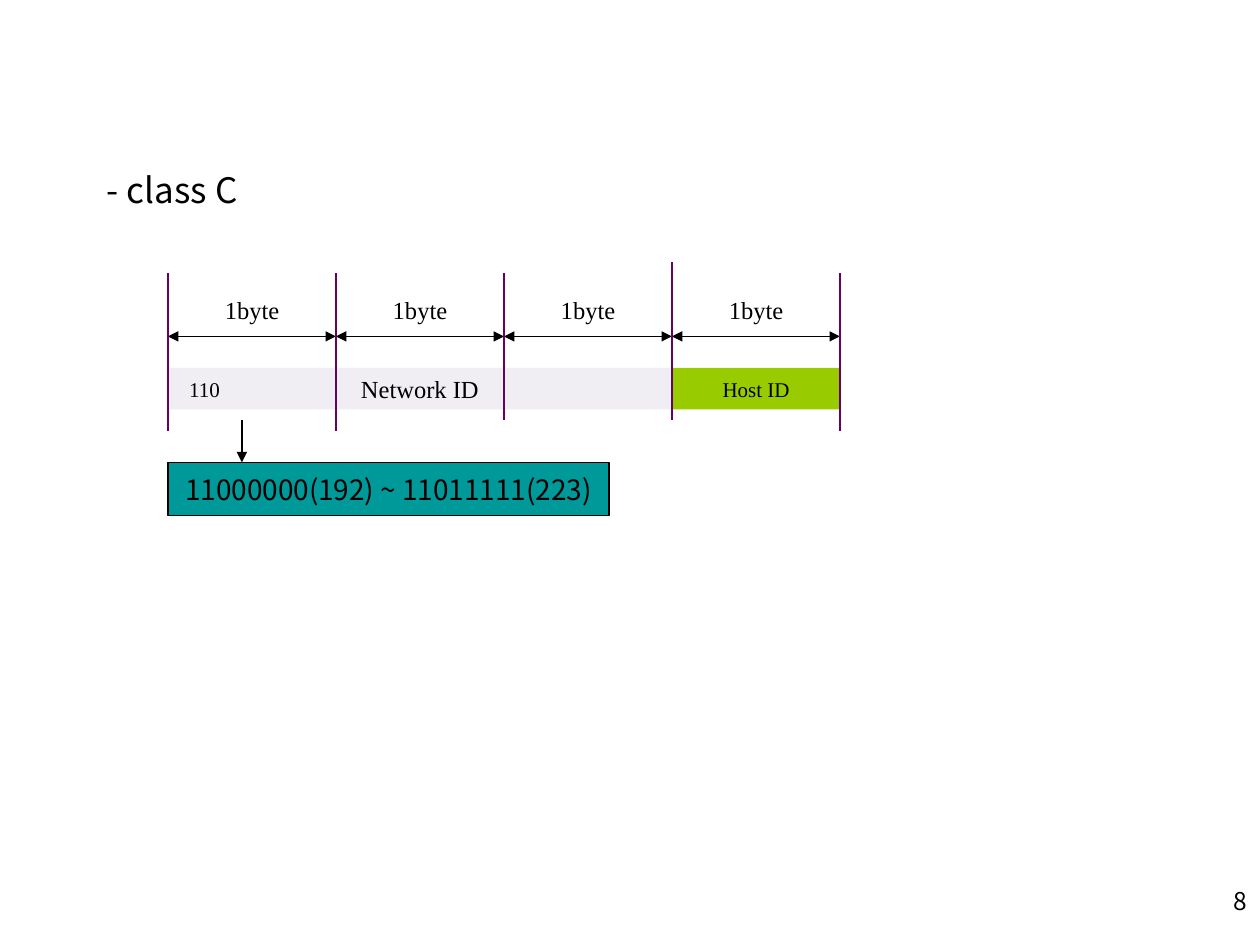
from dataclasses import dataclass

from lxml import etree
from pptx import Presentation
from pptx import util as u
from pptx.dml.color import RGBColor
from pptx.enum import shapes, text
from pptx.oxml.ns import qn

COLORS = {
    "text": "000000",
    "network": "F0EEF2",
    "host": "99CC00",
    "range": "009999",
    "divider": "660066",
}
SANS, SERIF = "Noto Sans CJK KR", "Times New Roman"
BYTE = 4 / 3  # width of one byte; the address also starts at this x
EDGES = [BYTE * (i + 1) for i in range(5)]
BAR_TOP, BAR_HEIGHT = 2.92, 0.33
ARROW_Y = 2.67


@dataclass
class Label:
    text: str
    left: float
    top: float
    width: float
    height: float
    size: int
    font: str = SERIF
    align: text.PP_ALIGN = text.PP_ALIGN.CENTER
    anchor: text.MSO_ANCHOR = text.MSO_ANCHOR.MIDDLE
    fill: str = ""
    outline: str = ""


@dataclass
class Line:
    x1: float
    y1: float
    x2: float
    y2: float
    color: str = "text"
    width: float = 0.75
    ends: tuple[str, ...] = ()


def rgb(name: str) -> RGBColor:
    return RGBColor.from_string(COLORS[name])


def draw_label(s, label: Label) -> None:
    box = [u.Inches(v) for v in (label.left, label.top, label.width, label.height)]
    if label.fill:
        sp = s.shapes.add_shape(shapes.MSO_SHAPE.RECTANGLE, *box)
        sp.shadow.inherit = False
        sp.fill.solid()
        sp.fill.fore_color.rgb = rgb(label.fill)
        if label.outline:
            sp.line.color.rgb = rgb(label.outline)
            sp.line.width = u.Pt(0.75)
        else:
            sp.line.fill.background()
    else:
        sp = s.shapes.add_textbox(*box)
    tf = sp.text_frame
    tf.word_wrap = label.align != text.PP_ALIGN.CENTER
    tf.vertical_anchor = label.anchor
    tf.text = label.text
    p = tf.paragraphs[0]
    p.alignment = label.align
    font = p.runs[0].font
    font.name, font.size = label.font, u.Pt(label.size)
    font.color.rgb = rgb("text")


def draw_line(s, line: Line) -> None:
    ends = [u.Inches(v) for v in (line.x1, line.y1, line.x2, line.y2)]
    cn = s.shapes.add_connector(shapes.MSO_CONNECTOR.STRAIGHT, *ends)
    cn.line.color.rgb = rgb(line.color)
    cn.line.width = u.Pt(line.width)
    ln = cn.line._get_or_add_ln()
    for end in line.ends:
        etree.SubElement(ln, qn(f"a:{end}"), type="triangle")
    etree.SubElement(cn._element.spPr, qn("a:effectLst"))


def main() -> None:
    prs = Presentation()
    prs.slide_width, prs.slide_height = u.Inches(10), u.Inches(7.5)
    s = prs.slides.add_slide(prs.slide_layouts[6])

    # Heading
    draw_label(s, Label("- class C", 0.75, 1.17, 9, 0.67, 20, SANS, text.PP_ALIGN.LEFT))

    # Byte widths
    for left, right in zip(EDGES, EDGES[1:]):
        draw_label(s, Label("1byte", left, 2.33, BYTE, 0.25, 14))
        draw_line(s, Line(left, ARROW_Y, right, ARROW_Y, ends=("headEnd", "tailEnd")))

    # Range of the first byte
    draw_line(s, Line(1.92, 3.33, 1.92, 3.67, ends=("tailEnd",)))
    draw_label(s, Label("11000000(192) ~ 11011111(223)", EDGES[0], 3.67, 3.5, 0.42,
                        16, SANS, fill="range", outline="text"))

    # Address bar
    draw_label(s, Label("Host ID", EDGES[3], BAR_TOP, BYTE, BAR_HEIGHT, 12, fill="host"))
    draw_label(s, Label("Network ID", EDGES[0], BAR_TOP, 3 * BYTE, BAR_HEIGHT, 14,
                        fill="network"))
    draw_label(s, Label("110", EDGES[0], BAR_TOP, 0.58, BAR_HEIGHT, 12))

    # Byte dividers
    spans = [(2.17, 3.42), (2.17, 3.42), (2.17, 3.33), (2.08, 3.33), (2.17, 3.42)]
    for x, (top, bottom) in zip(EDGES, spans):
        draw_line(s, Line(x, top, x, bottom, "divider", 1))

    # Page number
    draw_label(s, Label("8", 7.67, 6.98, 2.33, 0.52, 14, SANS,
                        text.PP_ALIGN.RIGHT, text.MSO_ANCHOR.TOP))

    prs.save("out.pptx")


if __name__ == "__main__":
    main()
